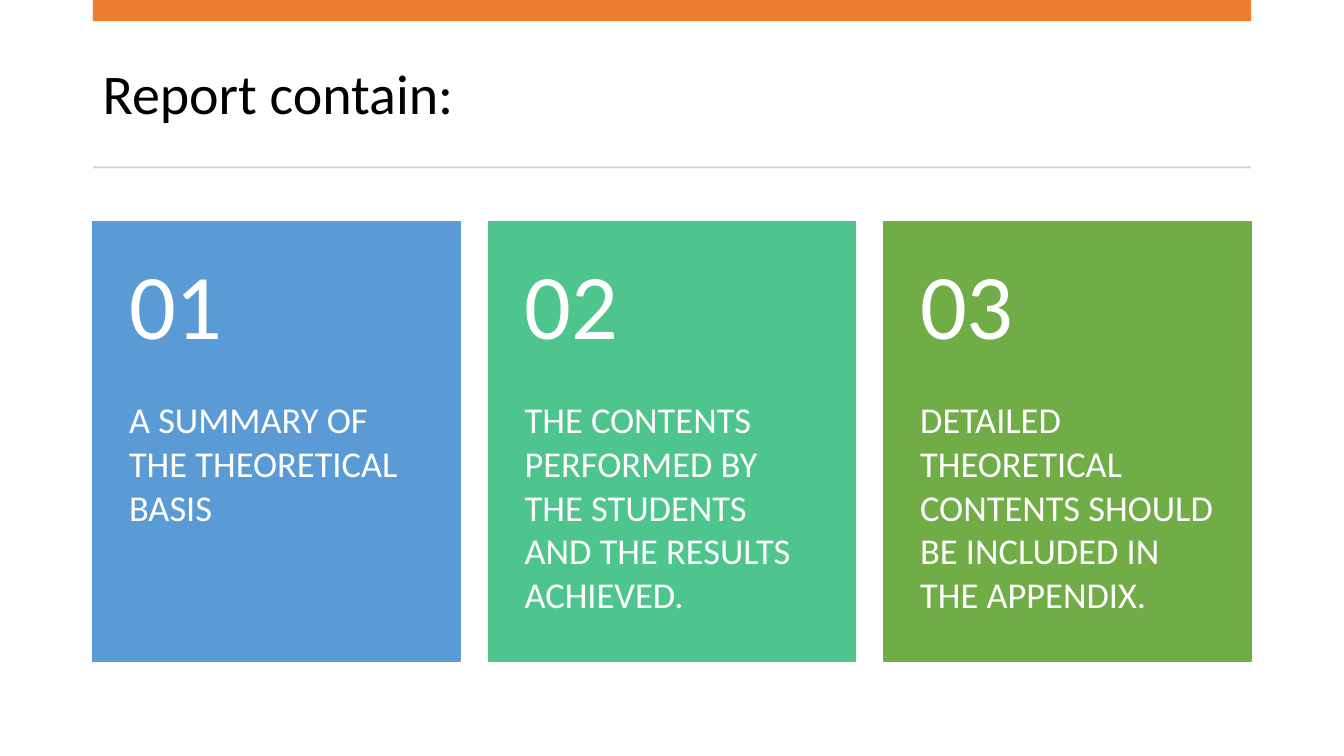
from pptx import Presentation
from pptx.dml.color import RGBColor
from pptx.enum.shapes import MSO_SHAPE as Shape
from pptx.enum.text import MSO_ANCHOR as Anchor
from pptx.util import Inches, Pt

ORANGE = RGBColor(0xED, 0x7D, 0x31)
GRAY = RGBColor(0xD5, 0xD5, 0xD5)
BLUE = RGBColor(0x5B, 0x9B, 0xD5)
TEAL = RGBColor(0x4D, 0xC5, 0x8D)
GREEN = RGBColor(0x70, 0xAD, 0x47)
BLACK = RGBColor(0, 0, 0)
WHITE = RGBColor(0xFF, 0xFF, 0xFF)

CARDS = [
    (BLUE, "A SUMMARY OF THE THEORETICAL BASIS"),
    (TEAL, "THE CONTENTS PERFORMED BY THE STUDENTS AND THE RESULTS ACHIEVED."),
    (GREEN, "DETAILED THEORETICAL CONTENTS SHOULD BE INCLUDED IN THE APPENDIX."),
]


def add_bar(page, box, color, outlined=False):
    bar = page.shapes.add_shape(Shape.RECTANGLE, *map(Inches, box))
    bar.shadow.inherit = False
    bar.fill.solid()
    bar.fill.fore_color.rgb = color
    if outlined:
        bar.line.color.rgb = color
        bar.line.width = Pt(1)
    else:
        bar.line.fill.background()


def add_text(page, box, text, size, color, insets, anchor, spacing=1.0, after=0):
    frame = page.shapes.add_textbox(*map(Inches, box)).text_frame
    left, top, right, bottom = map(Inches, insets)
    frame_format = {
        "word_wrap": True, "vertical_anchor": anchor,
        "margin_left": left, "margin_top": top,
        "margin_right": right, "margin_bottom": bottom,
    }
    for name, value in frame_format.items():
        setattr(frame, name, value)
    para = frame.paragraphs[0]
    para.line_spacing = spacing
    para.space_after = Pt(after)
    span = para.add_run()
    span.text = text
    for name, value in {"name": "Calibri", "size": Pt(size)}.items():
        setattr(span.font, name, value)
    span.font.color.rgb = color


def add_header(page, box):
    left, top, width, height = box
    # Accent bar, title and thin rule
    add_bar(page, (left, top, width, 0.21), ORANGE)
    add_text(page, (left, top + 0.37, width, 1.18), "Report contain:", 40, BLACK,
             (0.1, 0.05, 0.1, 0.05), Anchor.MIDDLE, spacing=0.9)
    add_bar(page, (left, top + height - 0.02, width, 0.02), GRAY)


def add_card(page, box, number, color, text):
    left, top, width, height = box
    number_height = 0.4 * height
    add_bar(page, box, color, outlined=True)
    # Description below, number above
    add_text(page, (left, top + number_height, width, height - number_height),
             text, 26, WHITE, (0.36, 0, 0.36, 0.36), Anchor.TOP, after=9)
    add_text(page, (left, top, width, number_height), f"{number:02}", 66, WHITE,
             (0.36, 0.18, 0.36, 0.18), Anchor.MIDDLE, spacing=0.9)


def add_card_row(page, box, gap):
    left, top, width, height = box
    card_width = (width - gap * (len(CARDS) - 1)) / len(CARDS)
    for index, (color, text) in enumerate(CARDS):
        card_left = left + index * (card_width + gap)
        add_card(page, (card_left, top, card_width, height), index + 1, color, text)


def main():
    deck = Presentation()
    deck.slide_width, deck.slide_height = Inches(13.33), Inches(7.5)
    page = deck.slides.add_slide(deck.slide_layouts[6])
    add_header(page, (0.92, 0, 11.49, 1.67))
    add_card_row(page, (0.92, 2.2, 11.49, 4.36), gap=0.28)
    deck.save("out.pptx")


if __name__ == "__main__":
    main()
